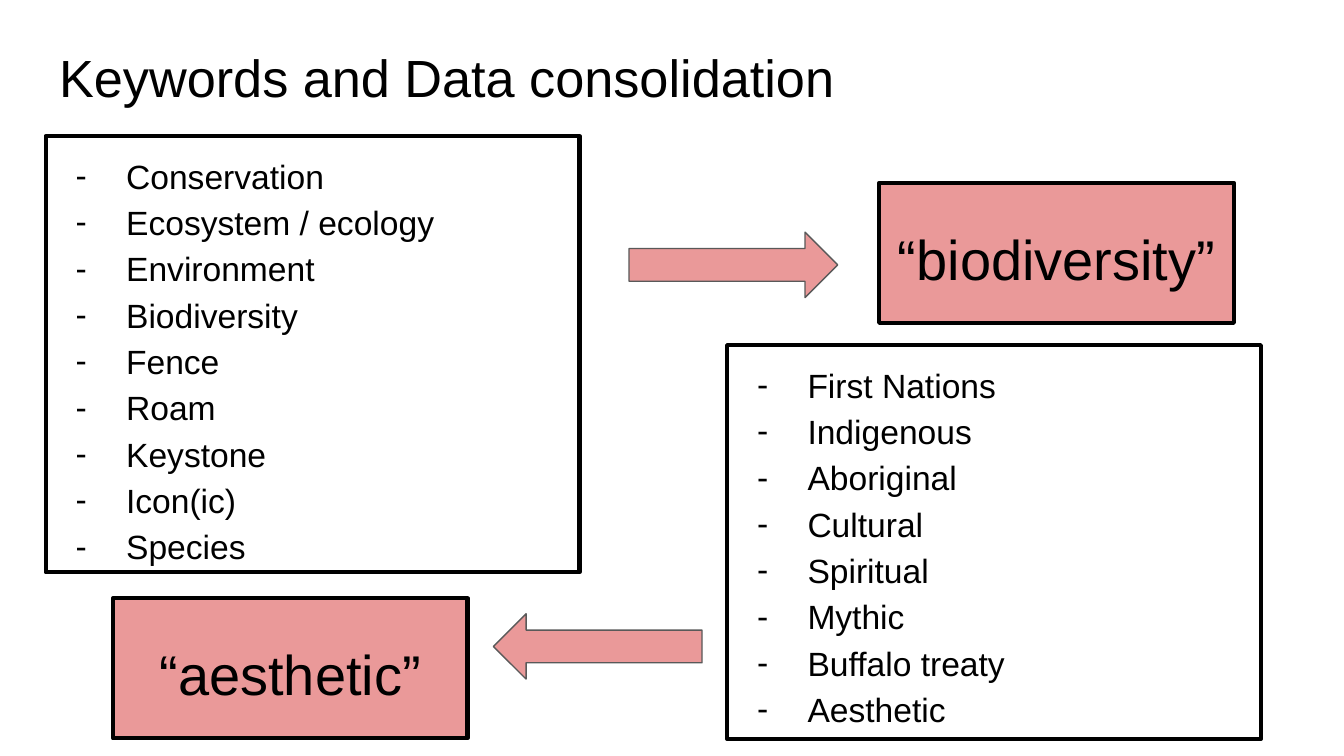
from dataclasses import dataclass

from lxml import etree
from pptx import Presentation
from pptx.dml.color import RGBColor
from pptx.enum.shapes import MSO_SHAPE
from pptx.enum.text import MSO_ANCHOR, MSO_AUTO_SIZE, PP_ALIGN
from pptx.oxml.ns import qn
from pptx.util import Pt

RECT, ARROW = MSO_SHAPE.RECTANGLE, MSO_SHAPE.RIGHT_ARROW
TOP, MIDDLE = MSO_ANCHOR.TOP, MSO_ANCHOR.MIDDLE
LEFT, CENTER = PP_ALIGN.LEFT, PP_ALIGN.CENTER
NO_AUTOFIT = MSO_AUTO_SIZE.NONE

FONT = "Arial"
COLORS = {"ink": "000000", "pink": "EA9999", "gray": "595959"}
INSET = 7.2
INDENT, HANGING = 36, 27
LINE_SPACING, SPACE_AFTER = 1.15, 16
LIST_WIDTH = 286
THEME_SIZE = (190, 75)
ARROW_SIZE = (111.8, 35)


@dataclass
class KeywordList:
    left: float
    top: float
    height: float
    words: list[str]


@dataclass
class Theme:
    left: float
    top: float
    name: str


@dataclass
class Arrow:
    left: float
    top: float
    rotation: float


LISTS = [
    KeywordList(24.5, 72.9, 233.7, [
        "Conservation", "Ecosystem / ecology", "Environment", "Biodiversity",
        "Fence", "Roam", "Keystone", "Icon(ic)", "Species"]),
    KeywordList(389.5, 184.9, 211, [
        "First Nations", "Indigenous", "Aboriginal", "Cultural",
        "Spiritual", "Mythic", "Buffalo treaty", "Aesthetic"]),
]
THEMES = [Theme(471, 98, "“biodiversity”"), Theme(60.5, 320.6, "“aesthetic”")]
ARROWS = [Arrow(337, 124.4, 0), Arrow(264.3, 328.8, 180)]


def rgb(name: str) -> RGBColor:
    return RGBColor.from_string(COLORS[name])


def set_frame(tf, anchor) -> None:
    tf.word_wrap = True
    tf.auto_size = NO_AUTOFIT
    tf.vertical_anchor = anchor
    tf.margin_left = tf.margin_right = Pt(INSET)
    tf.margin_top = tf.margin_bottom = Pt(INSET)


def add_run(p, text: str, size: float) -> None:
    r = p.add_run()
    r.text = text
    r.font.name = FONT
    r.font.size = Pt(size)
    r.font.color.rgb = rgb("ink")


def add_dash(p) -> None:
    """Give the paragraph a hanging dash as its bullet."""
    pPr = p._p.get_or_add_pPr()
    pPr.set("marL", str(Pt(INDENT)))
    pPr.set("indent", str(-Pt(HANGING)))
    color = etree.SubElement(pPr, qn("a:buClr"))
    etree.SubElement(color, qn("a:srgbClr"), val=COLORS["ink"])
    etree.SubElement(pPr, qn("a:buFont"), typeface=FONT)
    etree.SubElement(pPr, qn("a:buChar"), char="-")


def add_shape(s, kind, left: float, top: float, size: tuple[float, float],
              fill: str | None, line: str, weight: float):
    sp = s.shapes.add_shape(kind, Pt(left), Pt(top), *map(Pt, size))
    sp.shadow.inherit = False
    if fill:
        sp.fill.solid()
        sp.fill.fore_color.rgb = rgb(fill)
    else:
        sp.fill.background()
    sp.line.color.rgb = rgb(line)
    sp.line.width = Pt(weight)
    return sp


def add_title(s, text: str) -> None:
    sp = s.shapes.title
    sp.left, sp.top, sp.width, sp.height = map(Pt, (24.5, 17.3, 671, 45.4))
    set_frame(sp.text_frame, TOP)
    p = sp.text_frame.paragraphs[0]
    p.alignment = LEFT
    add_run(p, text, 28)


def add_keyword_list(s, item: KeywordList) -> None:
    sp = add_shape(s, RECT, item.left, item.top, (LIST_WIDTH, item.height),
                   None, "ink", 2.25)
    tf = sp.text_frame
    set_frame(tf, TOP)
    for i, word in enumerate(item.words):
        p = tf.add_paragraph() if i else tf.paragraphs[0]
        p.alignment = LEFT
        p.line_spacing = LINE_SPACING
        add_dash(p)
        add_run(p, word, 18)
    p.space_after = Pt(SPACE_AFTER)


def add_theme(s, theme: Theme) -> None:
    sp = add_shape(s, RECT, theme.left, theme.top, THEME_SIZE,
                   "pink", "ink", 2.25)
    set_frame(sp.text_frame, MIDDLE)
    p = sp.text_frame.paragraphs[0]
    p.alignment = CENTER
    p.line_spacing = LINE_SPACING
    p.space_after = Pt(SPACE_AFTER)
    add_run(p, theme.name, 30)


def add_arrow(s, arrow: Arrow) -> None:
    sp = add_shape(s, ARROW, arrow.left, arrow.top, ARROW_SIZE,
                   "pink", "gray", 0.75)
    sp.rotation = arrow.rotation


def main() -> None:
    prs = Presentation()
    prs.slide_width, prs.slide_height = Pt(720), Pt(405)
    s = prs.slides.add_slide(prs.slide_layouts[5])
    add_title(s, "Keywords and Data consolidation")
    for item in LISTS:
        add_keyword_list(s, item)
    for theme in THEMES:
        add_theme(s, theme)
    for arrow in ARROWS:
        add_arrow(s, arrow)
    prs.save("out.pptx")


if __name__ == "__main__":
    main()
